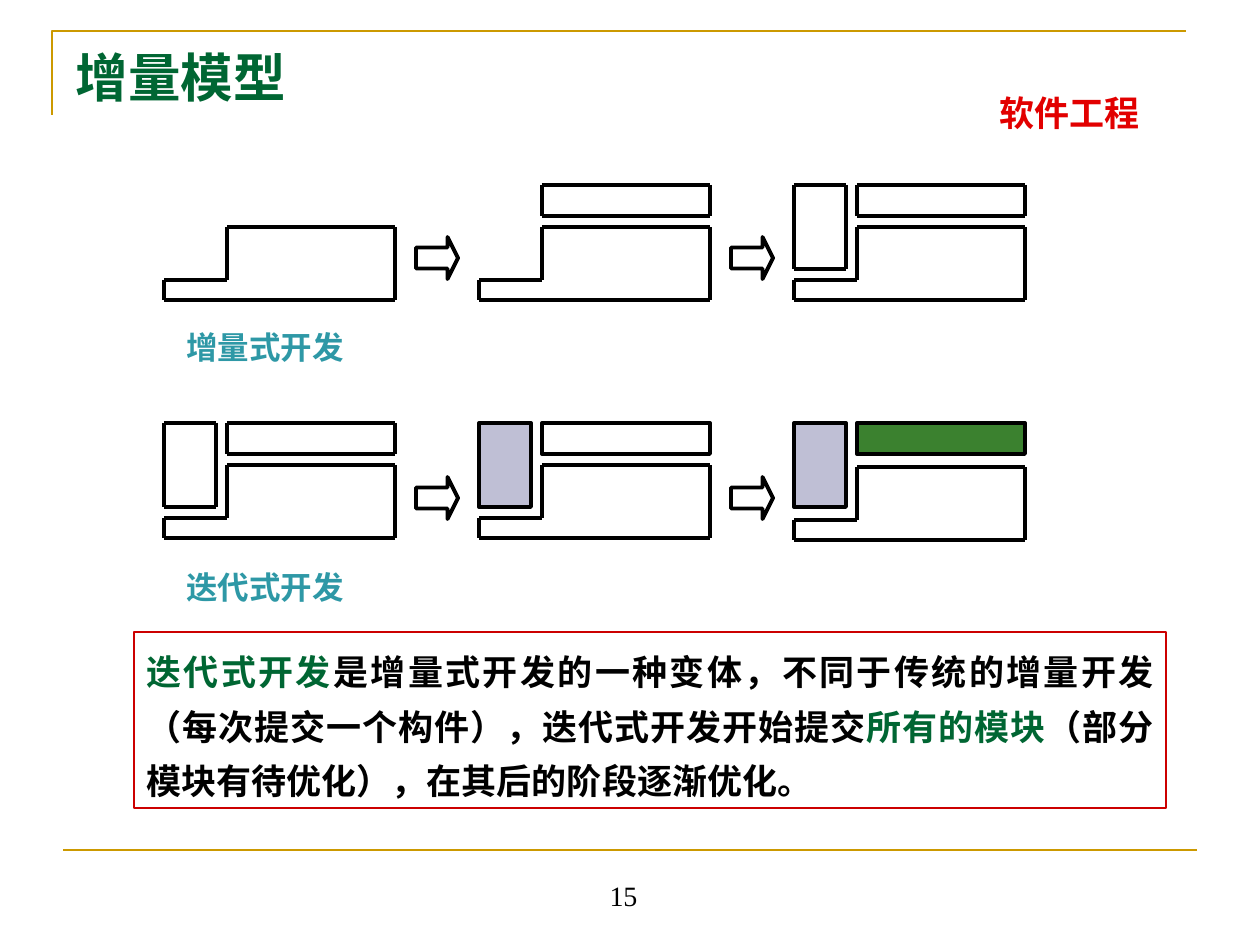
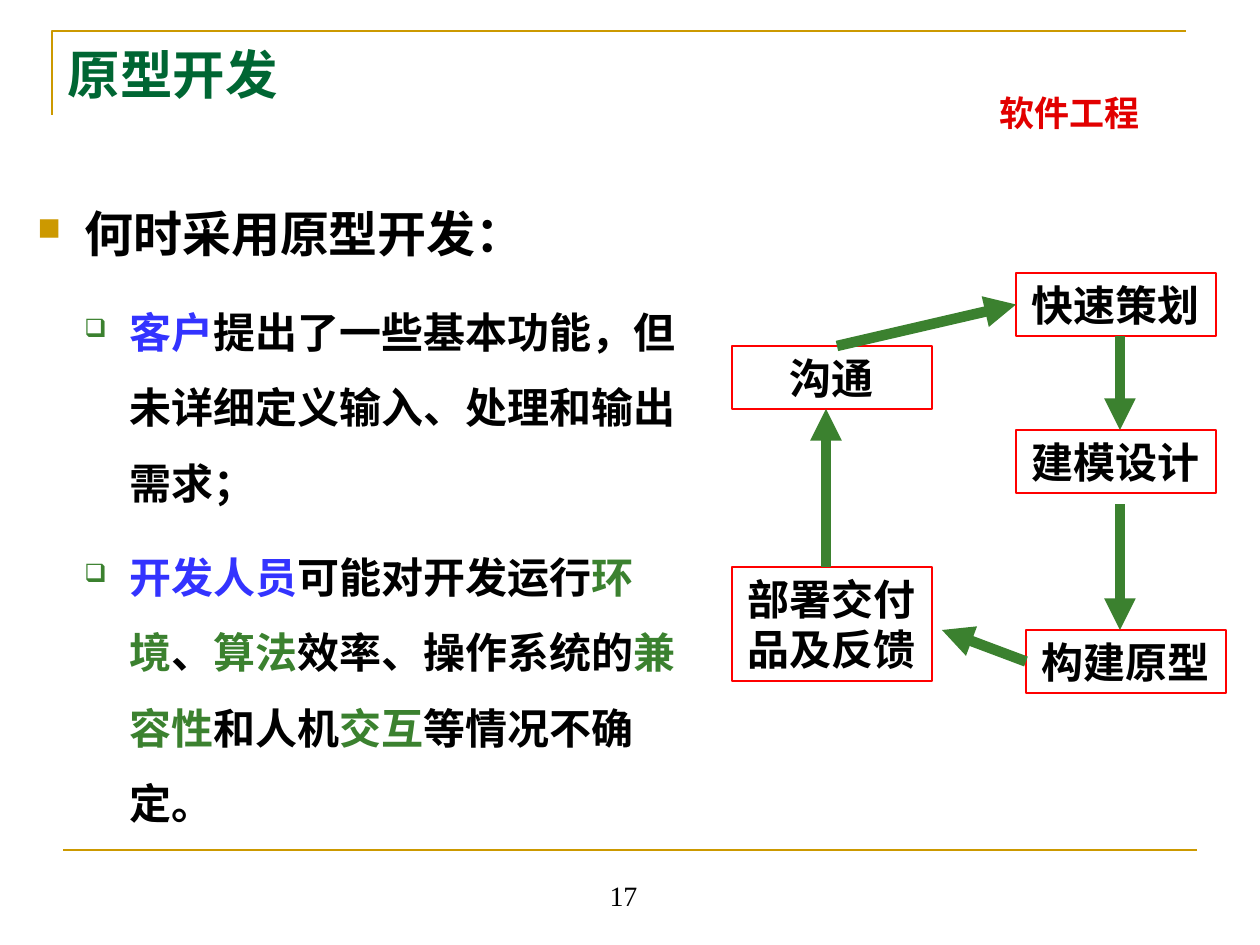
from lxml.etree import SubElement
from pptx import Presentation
from pptx.dml.color import RGBColor as RGB
from pptx.enum.shapes import MSO_CONNECTOR as LINK, MSO_SHAPE as SHAPE
from pptx.enum.text import MSO_ANCHOR as ANCHOR, PP_ALIGN as ALIGN
from pptx.oxml.ns import qn
from pptx.util import Pt

SCALE = 914400 / 126  # EMU in one px

BLACK = RGB(0, 0, 0)
GOLD = RGB(0xCC, 0x99, 0x00)
PINE = RGB(0x00, 0x66, 0x33)
LEAF = RGB(0x3B, 0x81, 0x2F)
LILAC = RGB(0xBF, 0xBF, 0xD5)
TEAL = RGB(0x2E, 0x98, 0xA6)
BLUE = RGB(0x33, 0x33, 0xFF)
RED = RGB(0xFF, 0, 0)
BRICK = RGB(0xCC, 0, 0)
MARK = RGB(0xE2, 0, 0)

SERIF, SANS, HAN = "Times New Roman", "Arial", "Noto Sans CJK JP"

# Increment diagram
COLS = (164, 479, 794)
STEP = 63
WIDE = 231
LINES = "lines"  # a part outlined by four separate lines


def px(*sizes):
    return [round(size * SCALE) for size in sizes]


# Text

def write(para, parts, size, font, bold=True):
    """Add (text, colour) parts to a paragraph, one run each."""
    for text, color in parts:
        run = para.add_run()
        run.text = text
        run.font.size, run.font.bold, run.font.name = Pt(size), bold, font
        run.font.color.rgb = color
        SubElement(run.font._element, qn("a:ea"), typeface=HAN)


def setup(frame, align=ALIGN.LEFT, anchor=ANCHOR.TOP):
    """Prepare a text frame and return its first paragraph."""
    frame.word_wrap = True
    frame.vertical_anchor = anchor
    para = frame.paragraphs[0]
    para.alignment = align
    return para


def label(slide, box, text, size, font, color, align=ALIGN.LEFT,
          anchor=ANCHOR.TOP, bold=True):
    frame = slide.shapes.add_textbox(*px(*box)).text_frame
    write(setup(frame, align, anchor), [(text, color)], size, font, bold)


def bullet(para, char, color, ratio, left, hang):
    """Give a paragraph a symbol bullet and keep punctuation in the box."""
    props = para._p.get_or_add_pPr()
    margin, indent = px(left, -hang)
    props.set("marL", str(margin))
    props.set("indent", str(indent))
    props.set("hangingPunct", "0")
    tint = SubElement(props, qn("a:buClr"))
    SubElement(tint, qn("a:srgbClr"), val=str(color))
    SubElement(props, qn("a:buSzPct"), val=str(ratio * 1000))
    SubElement(props, qn("a:buFont"), typeface="Wingdings", charset="2")
    SubElement(props, qn("a:buChar"), char=char)


# Shapes and lines

def style(shape, line, width, fill=None):
    shape.shadow.inherit = False
    if fill is None:
        shape.fill.background()
    else:
        shape.fill.solid()
        shape.fill.fore_color.rgb = fill
    shape.line.color.rgb = line
    shape.line.width = Pt(width)
    return shape


def block(slide, box, line=BLACK, width=2.25, fill=None, kind=SHAPE.RECTANGLE):
    return style(slide.shapes.add_shape(kind, *px(*box)), line, width, fill)


def link(slide, start, end, color, width, arrow=False):
    line = slide.shapes.add_connector(LINK.STRAIGHT, *px(*start, *end))
    line.line.color.rgb = color
    line.line.width = Pt(width)
    if arrow:
        SubElement(line.line._get_or_add_ln(), qn("a:tailEnd"), type="triangle")
    SubElement(line._element.spPr, qn("a:effectLst"))
    return line


def loop(slide, dots):
    """Join the dots by lines, back to the first one."""
    for start, end in zip(dots, dots[1:] + dots[:1]):
        link(slide, start, end, BLACK, 2.25)


# Shared slide frame

def corner(slide):
    pen = slide.shapes.build_freeform(52, 115, scale=SCALE)
    pen.add_line_segments([(52, 31), (1186, 31)], close=False)
    style(pen.convert_to_shape(), GOLD, 1.5)


def page(deck, title, box, number):
    slide = deck.slides.add_slide(deck.slide_layouts[5])
    head = slide.shapes.title
    head.left, head.top, head.width, head.height = px(*box)
    write(setup(head.text_frame), [(title, PINE)], 30, SERIF)
    corner(slide)
    link(slide, (63, 850), (1197, 850), GOLD, 1.5)
    label(slide, (869, 85, 402, 55), "软件工程", 20, HAN, MARK, ALIGN.CENTER)
    label(slide, (492, 879, 263, 39), number, 16, SERIF, BLACK,
          ALIGN.CENTER, ANCHOR.BOTTOM, bold=False)
    return slide


# Slide parts

def part(slide, x, y, wide, high, fill):
    if fill == LINES:
        right, foot = x + wide, y + high
        loop(slide, [(x, y), (right, y), (right, foot), (x, foot)])
    else:
        block(slide, (x, y, wide, high), fill=fill)


def stage(slide, x, y, parts, drop=0):
    """Draw the stepped base with its optional side and cap parts."""
    top, ledge, foot = (y + drop + rise for rise in (42, 95, 115))
    right, bend = x + WIDE, x + STEP
    loop(slide, [(x, foot), (right, foot), (right, top),
                 (bend, top), (bend, ledge), (x, ledge)])
    if "side" in parts:
        part(slide, x, y, 52, 84, parts["side"])
    if "cap" in parts:
        part(slide, bend, y, WIDE - STEP, 31, parts["cap"])


def series(slide, y, stages, mid, name, name_y, drops=(0, 0, 0)):
    """Draw three stages, the arrows between them and a caption."""
    for x, parts, drop in zip(COLS, stages, drops):
        stage(slide, x, y, parts, drop)
    for x in COLS[:2]:
        arrow = block(slide, (x + 252, mid, 42, 42), kind=SHAPE.RIGHT_ARROW)
        arrow.adjustments[0], arrow.adjustments[1] = 0.5, 0.25
    label(slide, (174, name_y, 462, 50), name, 18, SANS, TEAL)


def growth(deck):
    slide = page(deck, "增量模型", (63, 39, 1134, 77), "15")
    plain = {"side": LINES, "cap": LINES}
    series(slide, 185, [{}, {"cap": LINES}, plain], 237, "增量式开发", 322)
    series(slide, 423,
           [plain, {"side": LILAC, "cap": None}, {"side": LILAC, "cap": LEAF}],
           477, "迭代式开发", 562, (0, 0, 2))

    note = block(slide, (134, 632, 1032, 176), BRICK, 1.5)
    para = setup(note.text_frame, ALIGN.JUSTIFY)
    para.line_spacing = 1.3
    write(para, [
        ("迭代式开发", PINE),
        ("是增量式开发的一种变体，不同于传统的增量开发（每次提交一个构件），"
         "迭代式开发开始提交", BLACK),
        ("所有的模块", PINE),
        ("（部分模块有待优化），在其后的阶段逐渐优化。", BLACK),
    ], 20, SERIF)


def points(slide):
    frame = slide.shapes.add_textbox(*px(25, 168, 668, 651)).text_frame
    para = setup(frame)
    para.line_spacing = 1.5
    bullet(para, "n", GOLD, 65, 47, 47)
    write(para, [("何时采用原型开发：", BLACK)], 28, SANS)
    items = [
        [("客户", BLUE),
         ("提出了一些基本功能，但未详细定义输入、处理和输出需求；", BLACK)],
        [("开发人员", BLUE), ("可能对开发运行", BLACK), ("环境", LEAF),
         ("、", BLACK), ("算法", LEAF), ("效率、操作系统的", BLACK),
         ("兼容性", LEAF), ("和人机", BLACK), ("交互", LEAF),
         ("等情况不确定。", BLACK)],
    ]
    for parts in items:
        para = frame.add_paragraph()
        para.level = 1
        para.line_spacing = 1.5
        para.space_before = Pt(10.5)
        bullet(para, "q", LEAF, 60, 92, 45)
        write(para, parts, 24, SANS)


def step(slide, x, y, text, high=63):
    box = block(slide, (x, y, 200, high), RED, 1.5)
    write(setup(box.text_frame, ALIGN.CENTER), [(text, BLACK)], 24, SERIF)
    return box


def cycle(slide):
    plan = step(slide, 1016, 273, "快速策划")
    step(slide, 1016, 430, "建模设计")
    build = step(slide, 1026, 630, "构建原型")
    step(slide, 732, 567, "部署交付品及反馈", 114)
    step(slide, 732, 346, "沟通")

    def arrow(start, end):
        return link(slide, start, end, LEAF, 6, arrow=True)

    arrow((1120, 336), (1120, 430))
    arrow((1120, 504), (1120, 630))
    arrow((1026, 662), (942, 630)).begin_connect(build, 1)
    arrow((826, 567), (826, 409))
    arrow((837, 346), (1016, 305)).end_connect(plan, 1)


def main():
    deck = Presentation()
    deck.slide_width, deck.slide_height = px(1260, 945)
    growth(deck)
    slide = page(deck, "原型开发", (55, 36, 1071, 110), "17")
    points(slide)
    cycle(slide)
    deck.save("out.pptx")


if __name__ == "__main__":
    main()
